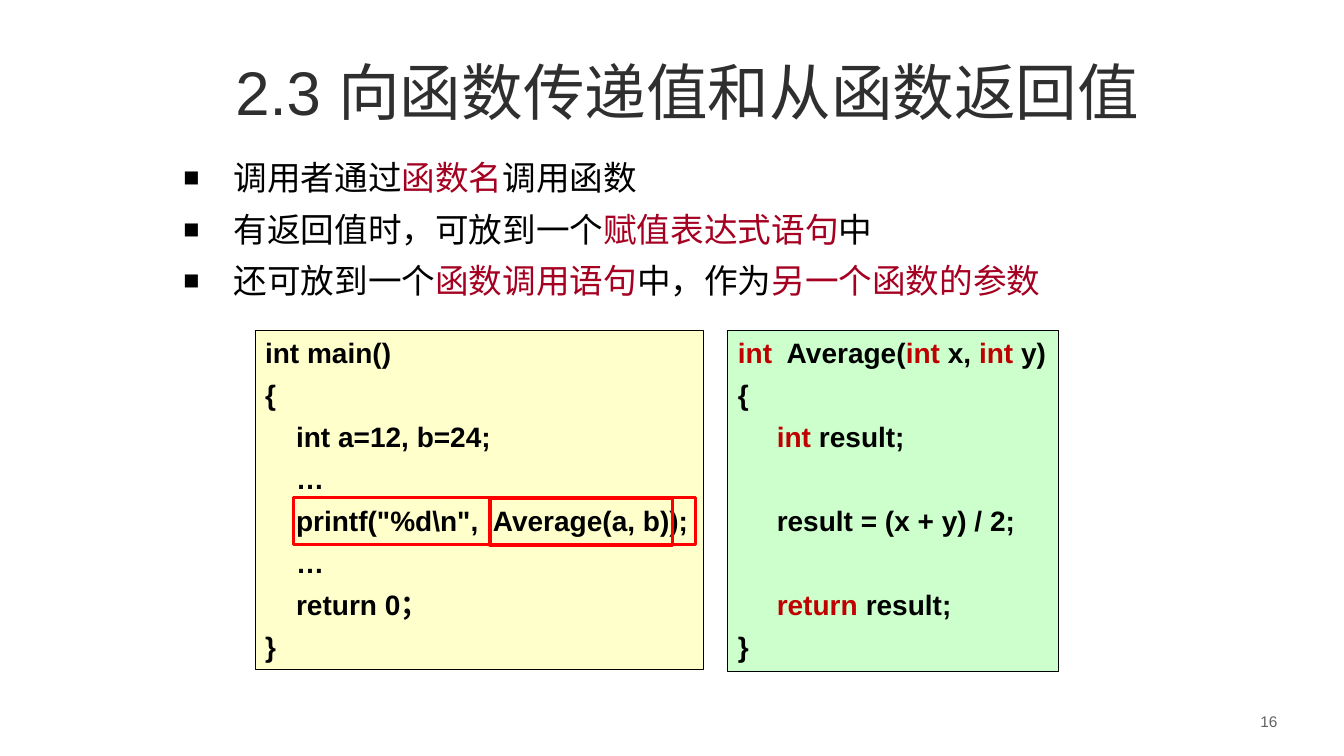
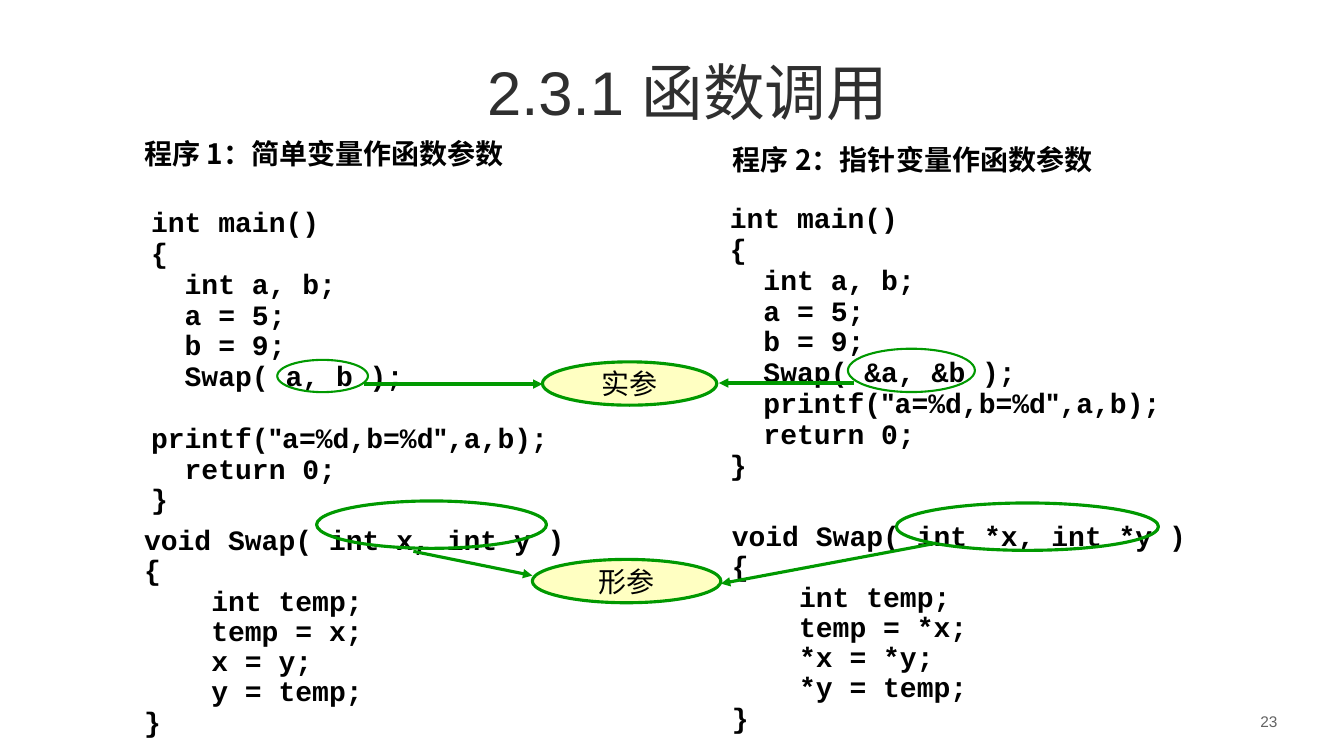
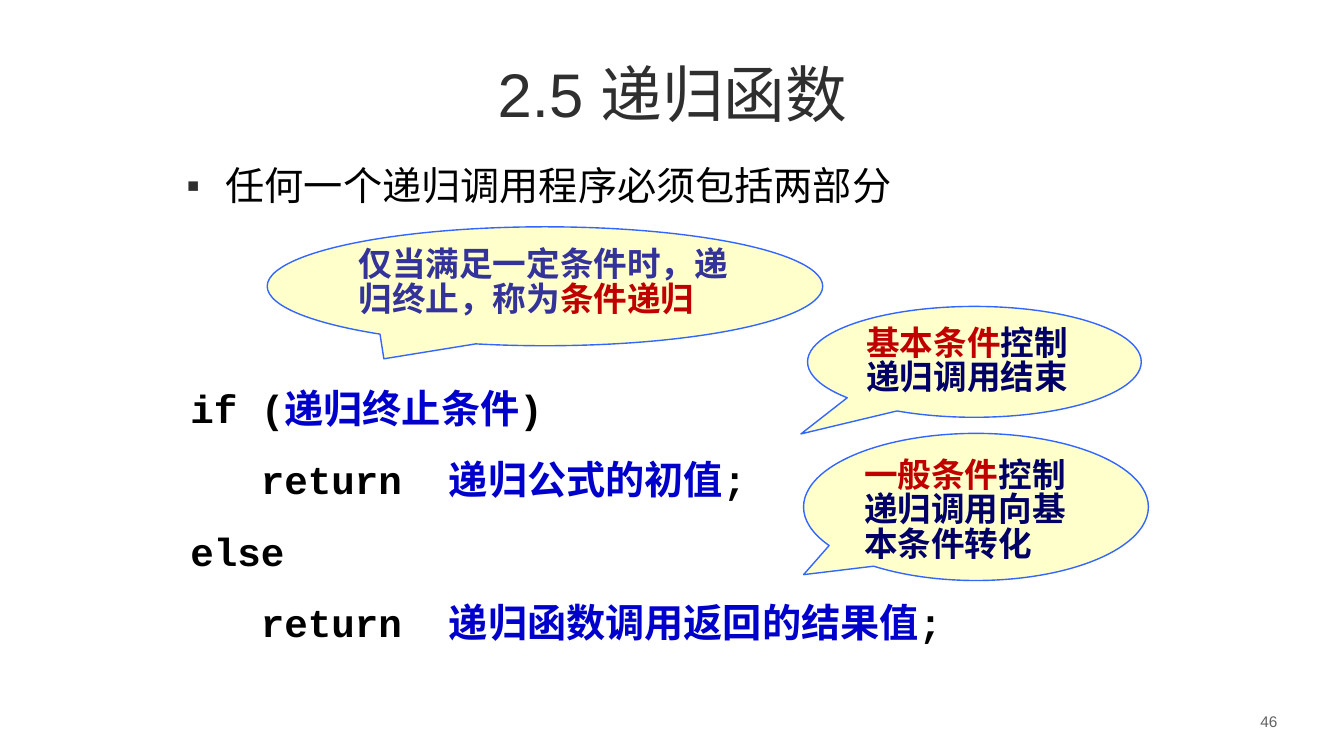
"""Three lecture slides on C functions: passing values, calling, recursion."""
from lxml import etree
from pptx import Presentation
from pptx.dml.color import RGBColor
from pptx.enum.shapes import MSO_CONNECTOR, MSO_SHAPE as SHAPE
from pptx.enum.text import MSO_ANCHOR as ANCHOR, PP_ALIGN as ALIGN
from pptx.oxml.ns import qn
from pptx.util import Inches, Pt

C = {
    "black": "000000", "title": "2F2F2F", "page": "636363", "crimson": "A50021",
    "keyword": "C00000", "red": "FF0000", "green": "009900", "blue": "0000CC",
    "navy": "000066", "indigo": "333399", "outline": "3366FF",
    "cream": "FFFFCC", "mint": "CCFFCC", "label": "FFFFC2",
}
SANS, MONO, CJK = "Arial", "Courier New", "Noto Sans CJK SC"


def write(tf, lines, font, size, bold=False, line=None, before=0, after=0,
          align=ALIGN.LEFT, bullet=None, gaps=None):
    """Fill a frame; a line is a string or a list of (text, colour, font) runs."""
    for i, runs in enumerate(lines):
        p = tf.paragraphs[0] if i == 0 else tf.add_paragraph()
        if bullet:
            indent, percent, color = bullet
            pPr = p._p.get_or_add_pPr()
            pPr.set("marL", str(Inches(indent)))
            pPr.set("indent", str(-Inches(indent)))
            clr = etree.SubElement(pPr, qn("a:buClr"))
            etree.SubElement(clr, qn("a:srgbClr")).set("val", C[color])
            etree.SubElement(pPr, qn("a:buSzPct")).set("val", str(percent * 1000))
            etree.SubElement(pPr, qn("a:buFont")).set("typeface", SANS)
            etree.SubElement(pPr, qn("a:buChar")).set("char", "■")
        p.alignment = align
        if line:
            p.line_spacing = Pt(line)
        p.space_before = Pt((gaps or {}).get(i, before if i else 0))
        p.space_after = Pt(after)
        for text, color, *face in [(runs, "black")] if isinstance(runs, str) else runs:
            r = p.add_run()
            r.text = text
            r.font.size, r.font.bold = Pt(size), bold
            r.font.name = face[0] if face else font
            r.font.color.rgb = RGBColor.from_string(C[color])
            etree.SubElement(r._r.get_or_add_rPr(), qn("a:ea")).set("typeface", CJK)


def add_box(s, box, kind=None, fill=None, line=None, width=0.75, wrap=True,
            anchor=ANCHOR.TOP):
    """Add a text box, or a preset shape when a kind is given."""
    at = [Inches(v) for v in box]
    if kind is None:
        sp = s.shapes.add_textbox(*at)
    else:
        sp = s.shapes.add_shape(kind, *at)
        sp.shadow.inherit = False
        if fill:
            sp.fill.solid()
            sp.fill.fore_color.rgb = RGBColor.from_string(C[fill])
        else:
            sp.fill.background()
        sp.line.color.rgb = RGBColor.from_string(C[line])
        sp.line.width = Pt(width)
    sp.text_frame.word_wrap = wrap
    sp.text_frame.vertical_anchor = anchor
    return sp


prs = Presentation()
prs.slide_width, prs.slide_height = Inches(13.33), Inches(7.5)

slides = []
for title, page, box in [
    ("2.3 向函数传递值和从函数返回值", "16", (1.7, 0.44, 10.24, 0.92)),
    ("2.3.1 函数调用", "23", (1.7, 0.44, 10.24, 0.92)),
    ("2.5 递归函数", "46", (0.67, 0.3, 12, 1.25)),
]:
    s = prs.slides.add_slide(prs.slide_layouts[5])
    sp = s.shapes.title
    sp.left, sp.top, sp.width, sp.height = [Inches(v) for v in box]
    sp.text_frame.vertical_anchor = ANCHOR.MIDDLE
    write(sp.text_frame, [[(title, "title")]], SANS, 44, align=ALIGN.CENTER)
    sp = add_box(s, (11.92, 7, 1.33, 0.31), anchor=ANCHOR.MIDDLE)
    write(sp.text_frame, [[(page, "page")]], SANS, 11, align=ALIGN.CENTER)
    slides.append(s)
passing, calling, recursion = slides

sp = add_box(passing, (1.72, 1.55, 10.07, 1.6))
write(sp.text_frame, [
    [("调用者通过", "black"), ("函数名", "crimson"), ("调用函数", "black")],
    [("有返回值时，可放到一个", "black"), ("赋值表达式语句", "crimson"), ("中", "black")],
    [("还可放到一个", "black"), ("函数调用语句", "crimson"), ("中，作为", "black"),
     ("另一个函数的参数", "crimson")],
], CJK, 24, line=26, after=10.8, bullet=(0.5, 80, "black"))

main_code = [
    "int main()", "{", "    int a=12, b=24;", "    …",
    '    printf("%d\\n",  Average(a, b));', "    …", "    return 0；", "}",
]
average_code = [
    [("int", "keyword"), ("  Average(", "black"), ("int", "keyword"), (" x, ", "black"),
     ("int", "keyword"), (" y)", "black")],
    "{",
    [("     int ", "keyword"), ("result;", "black")],
    "     result = (x + y) / 2;",
    [("     return ", "keyword"), ("result;", "black")],
    "}",
]
for box, fill, code, gaps in [
    ((2.53, 3.28, 4.45, 3.36), "cream", main_code, {}),
    ((7.22, 3.28, 3.28, 3.38), "mint", average_code, {3: 36, 4: 36}),
]:
    sp = add_box(passing, box, SHAPE.RECTANGLE, fill, "black", wrap=False)
    write(sp.text_frame, code, SANS, 20, True, line=24, before=6, gaps=gaps)
for box in [(2.91, 4.94, 3.99, 0.46), (4.86, 4.95, 1.81, 0.46)]:
    add_box(passing, box, SHAPE.RECTANGLE, line="red", width=2.25)

for box, heading in [
    ((1.33, 1.31, 5.05, 0.4), "程序 1：简单变量作函数参数"),
    ((7.17, 1.36, 5.01, 0.4), "程序 2：指针变量作函数参数"),
]:
    sp = add_box(calling, box)
    write(sp.text_frame, [heading], CJK, 20, True, line=24)

for box, args, indent, gaps in [
    ((1.4, 2.01, 4.47, 3.19), "a, b", "", {6: 22}),
    ((7.14, 1.97, 4.91, 3.19), "&a, &b", "  ", {}),
]:
    sp = add_box(calling, box, wrap=False)
    write(sp.text_frame, [
        "int main()", "{", "  int a, b;", "  a = 5;", "  b = 9;", f"  Swap( {args} );",
        [(indent + "printf(", "black"), ('"', "black", SANS), ("a=%d,b=%d", "black"),
         ('"', "black", SANS), (",a,b);", "black")],
        "  return 0;", "}",
    ], MONO, 20, True, line=22, gaps=gaps)

for box, star in [((1.33, 5.17, 4.45, 2.3), ""), ((7.16, 5.13, 4.8, 2.3), "*")]:
    sp = add_box(calling, box, wrap=False)
    write(sp.text_frame, [
        f"void Swap( int {star}x, int {star}y )", "{", "    int temp;",
        f"    temp = {star}x;", f"    {star}x = {star}y;", f"    {star}y = temp;", "}",
    ], MONO, 20, True, line=21.6)

for box, width in [
    ((2.75, 3.57, 0.9, 0.32), 1.5), ((8.41, 3.46, 1.26, 0.43), 1.5),
    ((3.14, 4.97, 2.28, 0.47), 2.25), ((8.89, 4.99, 2.6, 0.47), 2.25),
]:
    add_box(calling, box, SHAPE.OVAL, line="green", width=width)
for box, label in [((5.38, 3.59, 1.73, 0.43), "实参"), ((5.28, 5.55, 1.87, 0.43), "形参")]:
    sp = add_box(calling, box, SHAPE.OVAL, "label", "green", 2.25, False, ANCHOR.MIDDLE)
    write(sp.text_frame, [label], CJK, 20, align=ALIGN.CENTER)
for ends in [
    (3.61, 3.81, 5.38, 3.81), (8.47, 3.8, 7.13, 3.8),
    (4.1, 5.47, 5.28, 5.71), (9.28, 5.39, 7.15, 5.79),
]:
    arrow = calling.shapes.add_connector(MSO_CONNECTOR.STRAIGHT, *[Inches(v) for v in ends])
    arrow.line.color.rgb = RGBColor.from_string(C["green"])
    arrow.line.width = Pt(2.25)
    etree.SubElement(arrow.line._get_or_add_ln(), qn("a:tailEnd")).set("type", "triangle")
    etree.SubElement(arrow._element.spPr, qn("a:effectLst"))

sp = add_box(recursion, (1.76, 1.55, 9.77, 0.7))
write(sp.text_frame, ["任何一个递归调用程序必须包括两部分"], CJK, 28, line=34,
      bullet=(0.38, 50, "title"))
sp = add_box(recursion, (1.79, 3.52, 8.28, 2.95))
write(sp.text_frame, [
    [("if (", "black"), ("递归终止条件", "blue", CJK), (")", "black")],
    [("   return  ", "black"), ("递归公式的初值", "blue", CJK), (";", "black")],
    "else",
    [("   return  ", "black"), ("递归函数调用返回的结果值", "blue", CJK), (";", "black")],
], MONO, 28, True, line=51)

for box, tip, runs in [
    ((8.01, 3.04, 3.31, 1.1), (-0.52, 0.65),
     [("基本条件", "keyword"), ("控制递归调用结束", "navy")]),
    ((2.65, 2.25, 5.51, 1.18), (-0.29, 0.61),
     [("仅当满足一定条件时，递归终止，称为", "indigo"), ("条件递归", "keyword")]),
    ((7.97, 4.3, 3.42, 1.46), (-0.5, 0.46),
     [("一般条件", "keyword"), ("控制递归调用向基本条件转化", "navy")]),
]:
    sp = add_box(recursion, box, SHAPE.OVAL_CALLOUT, "cream", "outline", 1)
    sp.adjustments[0], sp.adjustments[1] = tip
    write(sp.text_frame, [runs], CJK, 24, True, line=24.5)

prs.save("out.pptx")
